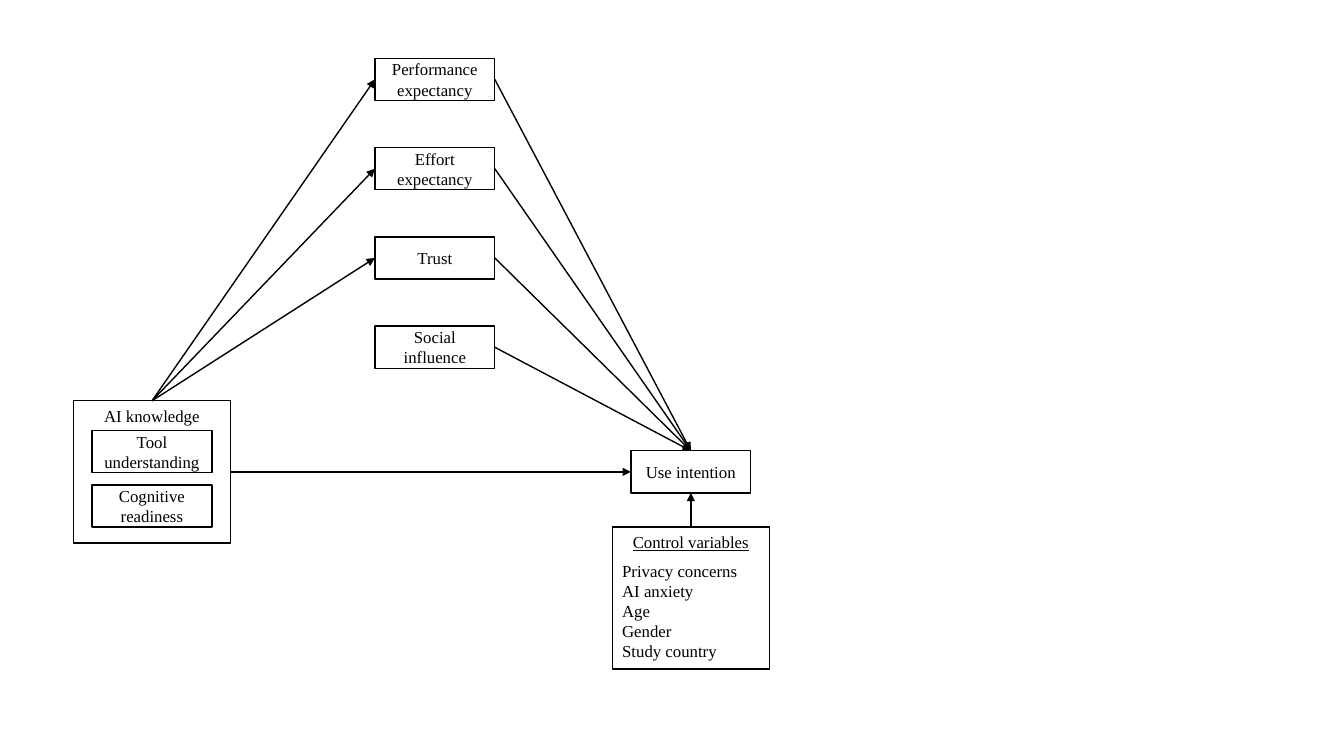
import pptx
import pptx.util
import pptx.dml.color
import pptx.enum.shapes
import pptx.enum.text
import pptx.oxml
import pptx.oxml.ns

Cm, Pt = pptx.util.Cm, pptx.util.Pt
ALIGN = pptx.enum.text.PP_ALIGN
ANCHOR = pptx.enum.text.MSO_ANCHOR
COLORS = {"ink": "000000"}
INK = pptx.dml.color.RGBColor.from_string(COLORS["ink"])
FONT = "Times New Roman"

# Sizes in cm
VARIABLE_W, VARIABLE_H = 3.02, 1.06
GROUP_W, GROUP_H = 3.96, 3.58

# Connection sites of a rectangle
TOP, LEFT, BOTTOM, RIGHT = range(4)


def add_box(slide, left, top, width, height, text, anchor=ANCHOR.MIDDLE):
    box = slide.shapes.add_shape(
        pptx.enum.shapes.MSO_SHAPE.RECTANGLE,
        Cm(left), Cm(top), Cm(width), Cm(height))
    box.shadow.inherit = False
    box.fill.background()
    box.line.color.rgb = INK
    box.line.width = Pt(1)
    frame = box.text_frame
    frame.word_wrap = True
    frame.vertical_anchor = anchor
    frame.text = text
    for paragraph in frame.paragraphs:
        paragraph.alignment = ALIGN.CENTER
        for run in paragraph.runs:
            run.font.name = FONT
            run.font.size = Pt(12)
            run.font.color.rgb = INK
    return box


def add_variable(slide, left, top, text):
    return add_box(slide, left, top, VARIABLE_W, VARIABLE_H, text)


def add_path(slide, source, source_site, target, target_site):
    arrow = slide.shapes.add_connector(
        pptx.enum.shapes.MSO_CONNECTOR.STRAIGHT, 0, 0, 0, 0)
    arrow.begin_connect(source, source_site)
    arrow.end_connect(target, target_site)
    arrow.line.color.rgb = INK
    arrow.line.width = Pt(1)
    namespace = pptx.oxml.ns.nsdecls("a")
    arrow.line._get_or_add_ln().append(
        pptx.oxml.parse_xml(f'<a:tailEnd {namespace} type="triangle"/>'))
    arrow._element.spPr.append(
        pptx.oxml.parse_xml(f"<a:effectLst {namespace}/>"))


def add_mediators(slide, left, top, pitch):
    names = ["Performance expectancy", "Effort expectancy",
             "Trust", "Social influence"]
    return [add_variable(slide, left, top + row * pitch, name)
            for row, name in enumerate(names)]


def add_knowledge(slide, left, top, width, height):
    knowledge = add_box(slide, left, top, width, height,
                        "AI knowledge", ANCHOR.TOP)
    for row, name in enumerate(["Tool understanding", "Cognitive readiness"]):
        add_variable(slide, left + (width - VARIABLE_W) / 2,
                     top + 0.75 + row * 1.37, name)
    return knowledge


def add_controls(slide, left, top, width, height):
    names = ["Control variables", "Privacy concerns", "AI anxiety",
             "Age", "Gender", "Study country"]
    controls = add_box(slide, left, top, width, height,
                       "\n".join(names), ANCHOR.TOP)
    heading, *variables = controls.text_frame.paragraphs
    heading.space_after = Pt(6)
    heading.runs[0].font.underline = True
    for variable in variables:
        variable.alignment = ALIGN.LEFT
    return controls


def add_research_model(slide, left, top):
    # Constructs
    mediators = add_mediators(slide, left + 7.6, top, 2.25)
    knowledge = add_knowledge(slide, left, top + 8.63, GROUP_W, GROUP_H)
    intention_left = left + 14.05
    intention = add_variable(slide, intention_left, top + 9.89,
                             "Use intention")
    controls = add_controls(
        slide, intention_left - (GROUP_W - VARIABLE_W) / 2, top + 11.81,
        GROUP_W, GROUP_H)

    # Paths between them; social influence has no path from AI knowledge
    add_path(slide, knowledge, RIGHT, intention, LEFT)
    for mediator in mediators[:3]:
        add_path(slide, knowledge, TOP, mediator, LEFT)
    for mediator in mediators:
        add_path(slide, mediator, RIGHT, intention, TOP)
    add_path(slide, controls, TOP, intention, BOTTOM)


presentation = pptx.Presentation()
presentation.slide_width = Cm(33.87)
presentation.slide_height = Cm(19.05)
model_slide = presentation.slides.add_slide(presentation.slide_layouts[6])
add_research_model(model_slide, 1.85, 1.47)
presentation.save("out.pptx")
